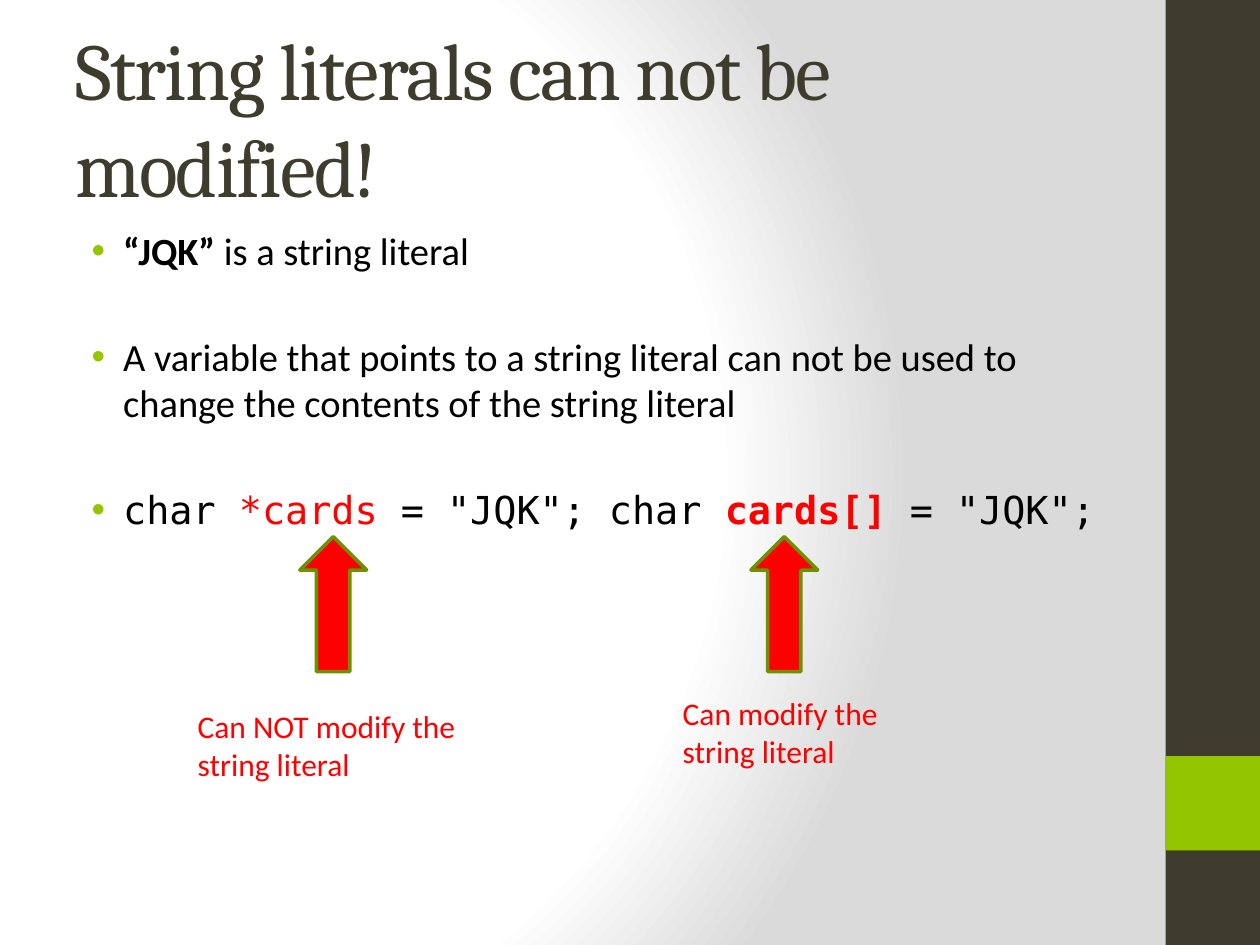
from dataclasses import dataclass

from lxml.etree import SubElement
from pptx import Presentation
from pptx.dml.color import RGBColor
from pptx.enum.shapes import MSO_SHAPE
from pptx.enum.text import MSO_ANCHOR, MSO_AUTO_SIZE
from pptx.oxml import parse_xml
from pptx.oxml.ns import nsdecls, qn
from pptx.util import Inches, Pt


@dataclass(frozen=True)
class Theme:
    dark: str = "3E3D2D"
    lime: str = "94C600"
    edge: str = "6D9200"
    red: str = "FF0000"
    black: str = "000000"
    white: str = "FFFFFF"
    gray: str = "DADADA"
    head: str = "Cambria"
    body: str = "Calibri"
    code: str = "DejaVu Sans Mono"
    big: int = 46
    mid: int = 22
    small: int = 18


T = Theme()
CELL = 0.25  # the grid has 40 columns and 30 rows


def grid(*cells):
    return [Inches(n * CELL) for n in cells]


def style(run, size, color, font=T.body, bold=False):
    run.font.size = Pt(size)
    run.font.name = font
    run.font.bold = bold
    run.font.color.rgb = RGBColor.from_string(color)


def paint(slide):
    stops = "".join(
        f'<a:gs pos="{pos * 1000}"><a:srgbClr val="{color}"/></a:gs>'
        for pos, color in ((0, T.white), (75, T.white), (100, T.gray)))
    back = parse_xml(
        f'<p:bg {nsdecls("p", "a")}><p:bgPr><a:gradFill rotWithShape="1">'
        f'<a:gsLst>{stops}</a:gsLst><a:path path="circle">'
        '<a:fillToRect l="20000" t="50000" r="100000" b="50000"/></a:path>'
        '</a:gradFill><a:effectLst/></p:bgPr></p:bg>')
    slide._element.cSld.insert(0, back)


def block(slide, kind, cells, fill, line=None):
    shape = slide.shapes.add_shape(kind, *grid(*cells))
    shape.shadow.inherit = False
    shape.fill.solid()
    shape.fill.fore_color.rgb = RGBColor.from_string(fill)
    if line:
        shape.line.color.rgb = RGBColor.from_string(line)
        shape.line.width = Pt(2)
    else:
        shape.line.fill.background()


def label(slide, cells, text, wrap=True):
    frame = slide.shapes.add_textbox(*grid(*cells)).text_frame
    frame.word_wrap = wrap
    frame.text = text
    return frame


def title(slide, cells, text):
    frame = label(slide, cells, text)
    frame.vertical_anchor = MSO_ANCHOR.MIDDLE
    run = frame.paragraphs[0].runs[0]
    style(run, T.big, T.dark, T.head)
    run.font._element.set("spc", "-100")


def bullet(para):
    props = para._p.get_or_add_pPr()
    props.set("marL", str(Inches(0.38)))
    props.set("indent", str(Inches(-0.25)))
    color = SubElement(props, qn("a:buClr"))
    SubElement(color, qn("a:srgbClr")).set("val", T.lime)
    SubElement(props, qn("a:buFont")).set("typeface", "Arial")
    SubElement(props, qn("a:buChar")).set("char", "•")


def points(slide, cells, items):
    frame = label(slide, cells, "")
    for i, (font, parts) in enumerate(items):
        para = frame.add_paragraph() if i else frame.paragraphs[0]
        para.space_before = Pt(34.5 if i else 1)
        bullet(para)
        for text, color, bold in parts:
            run = para.add_run()
            run.text = text
            style(run, T.mid, color, font, bold)


def note(slide, cells, text):
    frame = label(slide, cells, text, wrap=False)
    frame.auto_size = MSO_AUTO_SIZE.SHAPE_TO_FIT_TEXT
    for para in frame.paragraphs:
        style(para.runs[0], T.small, T.red)


def main():
    deck = Presentation()
    deck.slide_width, deck.slide_height = grid(40, 30)
    slide = deck.slides.add_slide(deck.slide_layouts[6])

    # Background and side band
    paint(slide)
    block(slide, MSO_SHAPE.RECTANGLE, (37, 0, 3, 30), T.dark)
    block(slide, MSO_SHAPE.RECTANGLE, (37, 24, 3, 3), T.lime)

    # Title and bullets
    title(slide, (2, 1.2, 33.32, 5), "String literals can not be modified!")
    points(slide, (2, 7, 33.32, 21), [
        (T.body, [("“JQK”", T.black, True),
                  (" is a string literal", T.black, False)]),
        (T.body, [("A variable that points to a string literal can not be "
                   "used to change the contents of the string literal",
                   T.black, False)]),
        (T.code, [("char ", T.black, False),
                  ("*cards ", T.red, False),
                  ('= "JQK"; char ', T.black, False),
                  ("cards[]", T.red, True),
                  (' = "JQK";', T.black, False)]),
    ])

    # Arrows with their notes
    for left, spot, text in (
            (9.52, (5.88, 22.24, 9.32, 2.84),
             "Can NOT modify the\nstring literal"),
            (23.84, (21.28, 21.84, 7.32, 2.84),
             "Can modify the\nstring literal")):
        block(slide, MSO_SHAPE.UP_ARROW, (left, 17.04, 2.12, 4.28),
              T.red, T.edge)
        note(slide, spot, text)

    deck.save("out.pptx")


if __name__ == "__main__":
    main()
